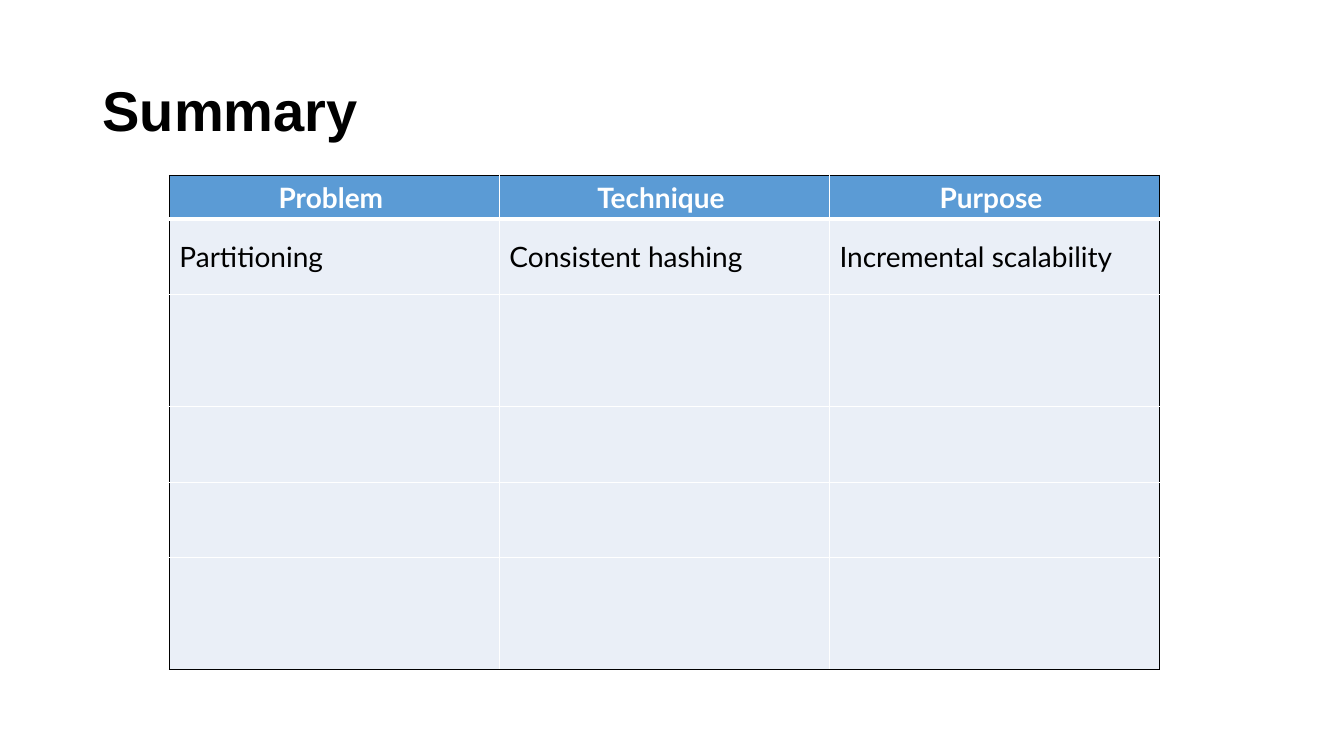
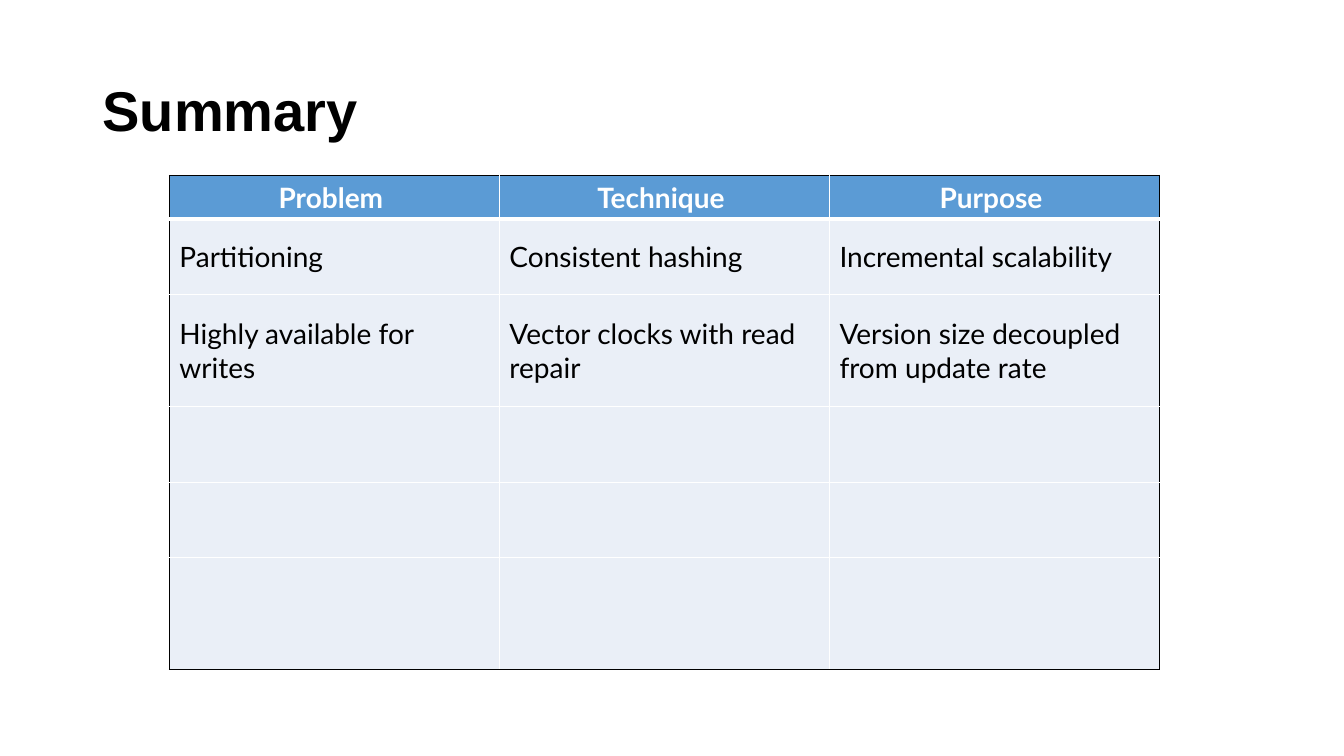
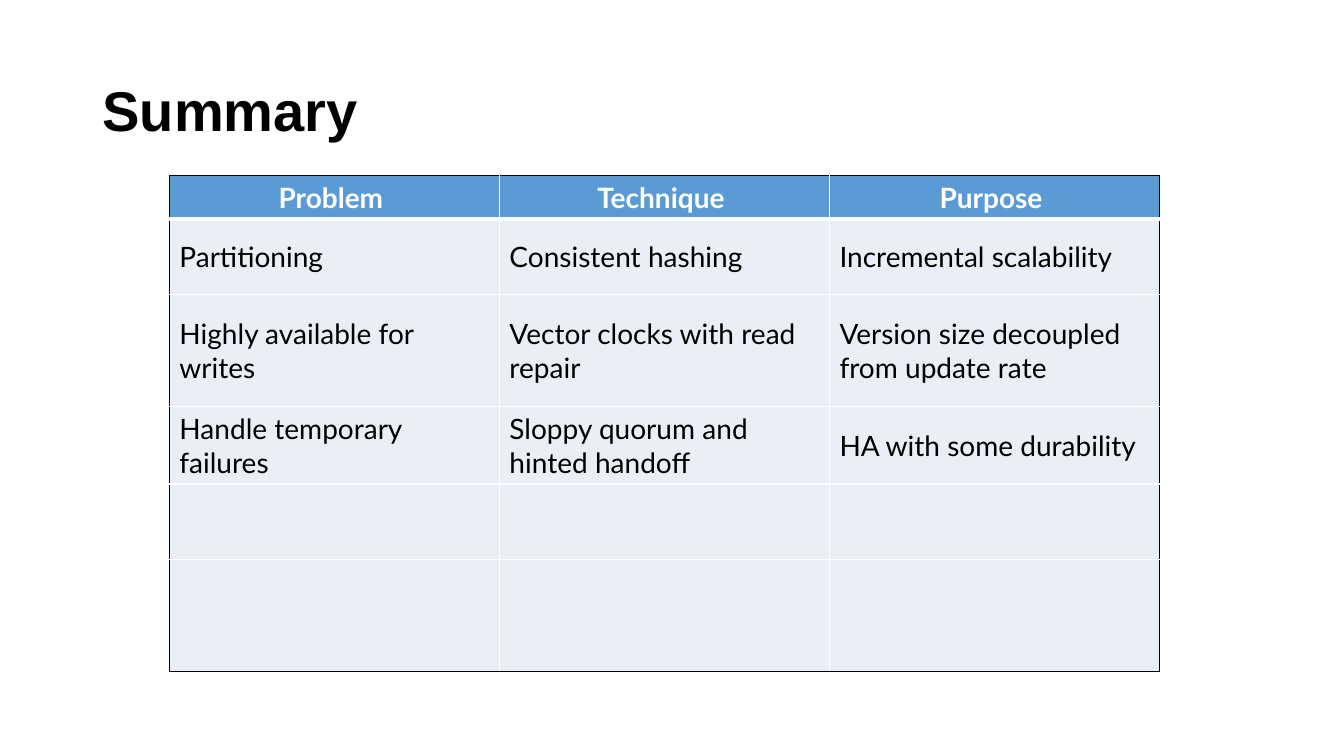
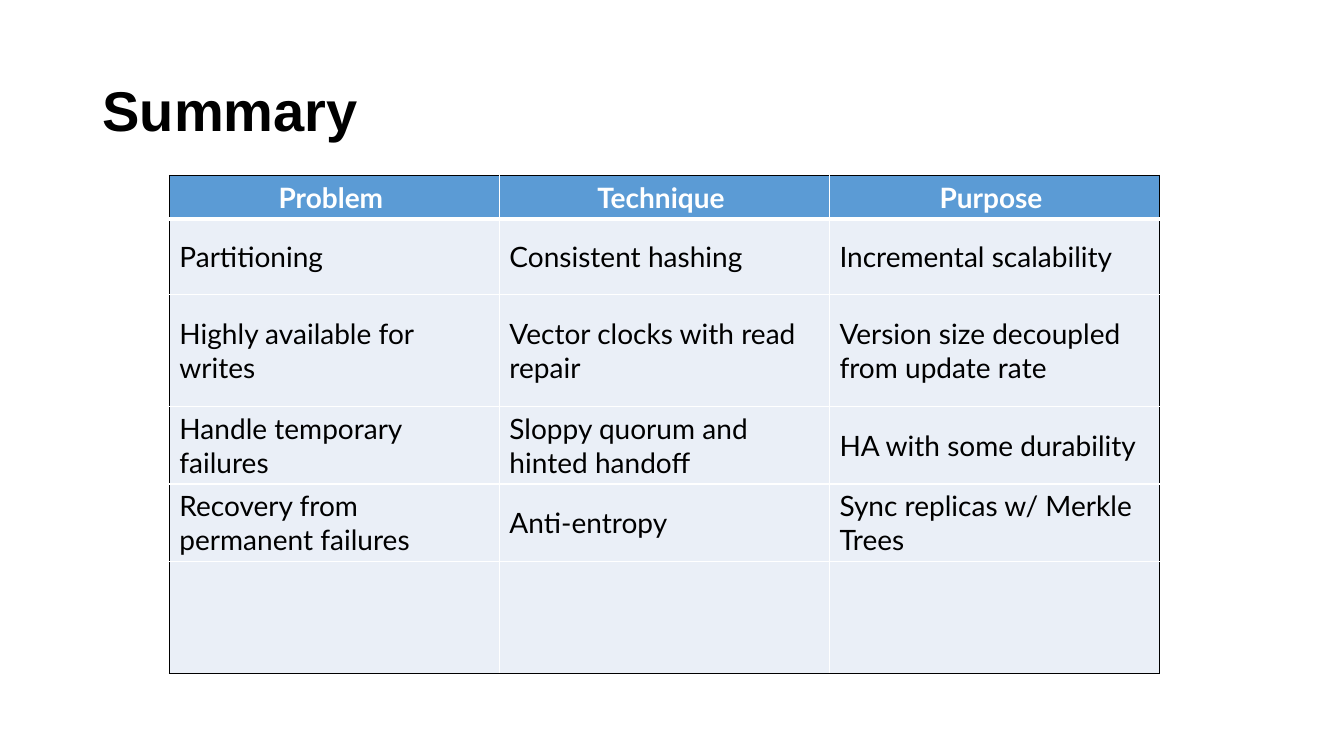
from dataclasses import dataclass

from lxml import etree
from pptx import Presentation
from pptx.dml.color import RGBColor
from pptx.enum.text import MSO_ANCHOR, PP_ALIGN
from pptx.oxml.ns import qn
from pptx.util import Inches, Pt

MIDDLE = MSO_ANCHOR.MIDDLE
LEFT = PP_ALIGN.LEFT
CENTER = PP_ALIGN.CENTER
BLANK_LAYOUT = 6
NO_BREAK_SPACE = chr(160)


@dataclass(frozen=True)
class Theme:
    title_font: str = "Arial"
    table_font: str = "Lato"
    title_size: int = 40
    table_size: int = 20
    ink: str = "000000"
    paper: str = "FFFFFF"
    header_fill: str = "5B9BD5"
    body_fill: str = "EAEFF7"
    thin_line: int = 1
    thick_line: int = 3


THEME = Theme()

# Boxes are left, top, width, height in inches
TITLE_BOX = (0.92, 0.4, 11.5, 1.45)
TABLE_BOX = (1.68, 1.74, 9.82, 4.86)
ROW_HEIGHTS = (0.39, 0.75, 1.11, 0.75, 0.75, 1.11)

TITLE = "Summary"
HEADER = ("Problem", "Technique", "Purpose")
TECHNIQUES = (
    ("Partitioning", "Consistent hashing", "Incremental scalability"),
    ("Highly available for writes", "Vector clocks with read repair",
     "Version size decoupled from update rate"),
    ("Handle temporary failures", "Sloppy quorum and hinted handoff",
     "HA with some durability"),
    ("Recovery from permanent failures", "Anti-entropy",
     "Sync replicas w/ Merkle Trees"),
)


def add_run(paragraph, text, font_name, size, color, bold):
    run = paragraph.add_run()
    run.text = text
    run.font.name = font_name
    run.font.size = Pt(size)
    run.font.bold = bold
    run.font.color.rgb = RGBColor.from_string(color)


def add_title(slide, box, text):
    shape = slide.shapes.add_textbox(*map(Inches, box))
    frame = shape.text_frame
    frame.word_wrap = True
    frame.vertical_anchor = MIDDLE
    paragraph = frame.paragraphs[0]
    paragraph.line_spacing = 0.9
    add_run(paragraph, text, THEME.title_font, THEME.title_size, THEME.ink, True)


def set_borders(cell, borders):
    """Draw the borders, given as side: (color, width) in the order L, R, T, B."""
    properties = cell._tc.get_or_add_tcPr()
    for position, (side, (color, width)) in enumerate(borders.items()):
        line = etree.Element(qn(f"a:ln{side}"), w=str(Pt(width)))
        fill = etree.SubElement(line, qn("a:solidFill"))
        etree.SubElement(fill, qn("a:srgbClr"), val=color)
        properties.insert(position, line)


def cell_borders(row, column):
    """Black around the table, white inside, thick under the header."""
    inner = (THEME.paper, THEME.thin_line)
    outer = (THEME.ink, THEME.thin_line)
    under_header = (THEME.paper, THEME.thick_line)
    last_row, last_column = len(ROW_HEIGHTS) - 1, len(HEADER) - 1
    return {
        "L": outer if column == 0 else inner,
        "R": outer if column == last_column else inner,
        "T": {0: outer, 1: under_header}.get(row, inner),
        "B": {0: under_header, last_row: outer}.get(row, inner),
    }


def fill_cell(cell, text, is_header):
    cell.vertical_anchor = MIDDLE
    cell.fill.solid()
    cell.fill.fore_color.rgb = RGBColor.from_string(
        THEME.header_fill if is_header else THEME.body_fill)
    if text:
        paragraph = cell.text_frame.paragraphs[0]
        paragraph.alignment = CENTER if is_header else LEFT
        add_run(paragraph, text + NO_BREAK_SPACE, THEME.table_font,
                THEME.table_size, THEME.paper if is_header else THEME.ink,
                is_header)


def add_summary_table(slide, box, techniques):
    """Place the full grid; rows without a technique stay empty."""
    frame = slide.shapes.add_table(
        len(ROW_HEIGHTS), len(HEADER), *map(Inches, box))
    table = frame.table
    table.horz_banding = False
    for column in table.columns:
        column.width = Inches(box[2] / len(HEADER))
    lines = (HEADER, *techniques)
    for row, height in enumerate(ROW_HEIGHTS):
        table.rows[row].height = Inches(height)
        texts = lines[row] if row < len(lines) else ("",) * len(HEADER)
        for column, text in enumerate(texts):
            cell = table.cell(row, column)
            fill_cell(cell, text, row == 0)
            set_borders(cell, cell_borders(row, column))


def add_summary_slide(presentation, techniques):
    slide = presentation.slides.add_slide(
        presentation.slide_layouts[BLANK_LAYOUT])
    add_title(slide, TITLE_BOX, TITLE)
    add_summary_table(slide, TABLE_BOX, techniques)


def main():
    presentation = Presentation()
    presentation.slide_width = Inches(13.33)
    presentation.slide_height = Inches(7.5)
    # Each slide reveals one more technique
    for shown in range(1, len(TECHNIQUES) + 1):
        add_summary_slide(presentation, TECHNIQUES[:shown])
    presentation.save("out.pptx")


if __name__ == "__main__":
    main()
